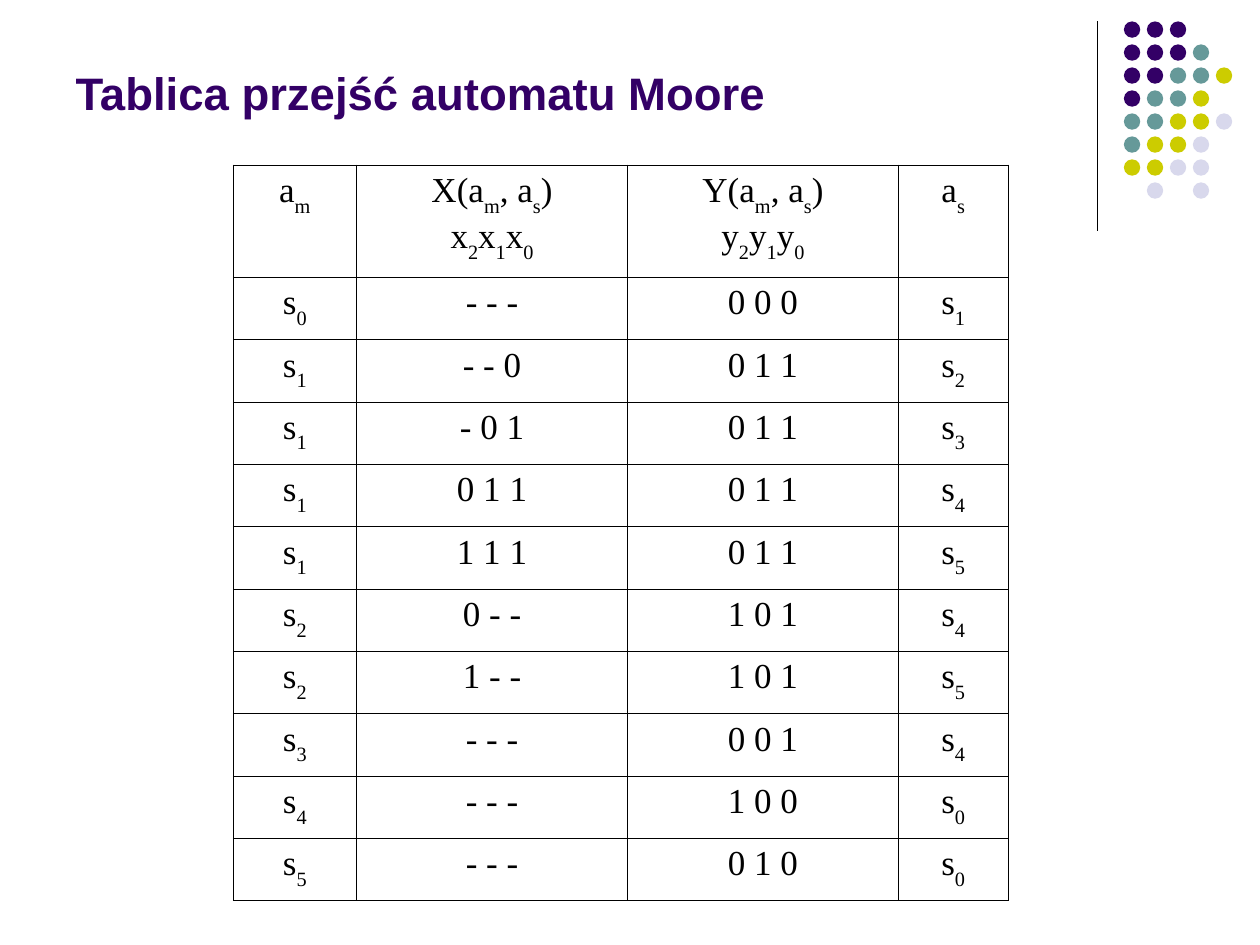
import lxml.etree
import pptx
import pptx.dml.color
import pptx.enum.shapes
import pptx.enum.text
import pptx.oxml
import pptx.oxml.ns
import pptx.util

COLORS = {"purple": "330066", "teal": "669999", "olive": "CCCC00",
          "lavender": "D8D8EC", "black": "000000"}
Inches = pptx.util.Inches
Align = pptx.enum.text.PP_ALIGN


def rgb(name):
    return pptx.dml.color.RGBColor.from_string(COLORS[name])


def write(frame, text, size=20, font="Times New Roman", color="black",
          bold=False, align=Align.CENTER):
    """Write lines of text; the character after each "_" becomes a subscript."""
    for number, line in enumerate(text.split("\n")):
        paragraph = frame.paragraphs[0] if number == 0 else frame.add_paragraph()
        paragraph.alignment = align
        first, *marked = line.split("_")
        pieces = [(first, False)]
        for part in marked:
            pieces += [(part[0], True), (part[1:], False)]
        for piece, lowered in pieces:
            if not piece:
                continue
            run = paragraph.add_run()
            run.text = piece
            run.font.size = pptx.util.Pt(size)
            run.font.name = font
            run.font.bold = bold
            run.font.color.rgb = rgb(color)
            if lowered:
                run.font._element.set("baseline", "-30000")


deck = pptx.Presentation()
deck.slide_width, deck.slide_height = Inches(10), Inches(7.5)
slide = deck.slides.add_slide(deck.slide_layouts[5])

# Divider beside the dots
divider = slide.shapes.add_connector(
    pptx.enum.shapes.MSO_CONNECTOR.STRAIGHT,
    Inches(8.71), Inches(0.17), Inches(8.71), Inches(1.83))
divider.line.color.rgb = rgb("black")
divider.line.width = pptx.util.Pt(0.75)
lxml.etree.SubElement(divider._element.spPr, pptx.oxml.ns.qn("a:effectLst"))

# Dot grid: one letter per dot, a space leaves a gap
dot_colors = {"p": "purple", "t": "teal", "o": "olive", "l": "lavender"}
dot_rows = ["ppp", "pppt", "pptto", "ptto", "ttool", "tool", "ooll", " l l"]
dot_pitch = 0.73 / 4
dots = slide.shapes.add_group_shape()
for row, letters in enumerate(dot_rows):
    for column, letter in enumerate(letters):
        if letter == " ":
            continue
        dot = dots.shapes.add_shape(
            pptx.enum.shapes.MSO_SHAPE.OVAL,
            Inches(8.92 + column * dot_pitch), Inches(0.17 + row * dot_pitch),
            Inches(0.13), Inches(0.13))
        dot.shadow.inherit = False
        dot.fill.solid()
        dot.fill.fore_color.rgb = rgb(dot_colors[letter])
        dot.line.fill.background()

# Title
title = slide.shapes.title
title.left, title.top = Inches(0.5), Inches(0.13)
title.width, title.height = Inches(8.25), Inches(0.87)
title.text_frame.vertical_anchor = pptx.enum.text.MSO_ANCHOR.BOTTOM
write(title.text_frame, "Tablica przejść automatu Moore", size=26,
      font="Arial", color="purple", bold=True, align=Align.LEFT)

# Transition table
transitions = [
    ("a_m", "X(a_m, a_s)\nx_2x_1x_0", "Y(a_m, a_s)\ny_2y_1y_0", "a_s"),
    ("s_0", "- - -", "0 0 0", "s_1"),
    ("s_1", "- - 0", "0 1 1", "s_2"),
    ("s_1", "- 0 1", "0 1 1", "s_3"),
    ("s_1", "0 1 1", "0 1 1", "s_4"),
    ("s_1", "1 1 1", "0 1 1", "s_5"),
    ("s_2", "0 - -", "1 0 1", "s_4"),
    ("s_2", "1 - -", "1 0 1", "s_5"),
    ("s_3", "- - -", "0 0 1", "s_4"),
    ("s_4", "- - -", "1 0 0", "s_0"),
    ("s_5", "- - -", "0 1 0", "s_0"),
]
column_widths = [0.98, 2.15, 2.15, 0.87]
table_height, header_height = 5.84, 0.89
state_height = (table_height - header_height) / (len(transitions) - 1)
table = slide.shapes.add_table(
    len(transitions), len(column_widths), Inches(1.85), Inches(1.31),
    Inches(sum(column_widths)), Inches(table_height)).table
table.first_row = table.horz_banding = False
for column, width in enumerate(column_widths):
    table.columns[column].width = Inches(width)

for row, values in enumerate(transitions):
    table.rows[row].height = Inches(state_height if row else header_height)
    for column, value in enumerate(values):
        cell = table.cell(row, column)
        write(cell.text_frame, value)
        properties = cell._tc.get_or_add_tcPr()
        for side in ("lnL", "lnR", "lnT", "lnB"):
            properties.append(pptx.oxml.parse_xml(
                f'<a:{side} {pptx.oxml.ns.nsdecls("a")} w="{pptx.util.Pt(0.45)}">'
                f'<a:solidFill><a:srgbClr val="{COLORS["black"]}"/></a:solidFill>'
                f'</a:{side}>'))
        cell.fill.background()

deck.save("out.pptx")
